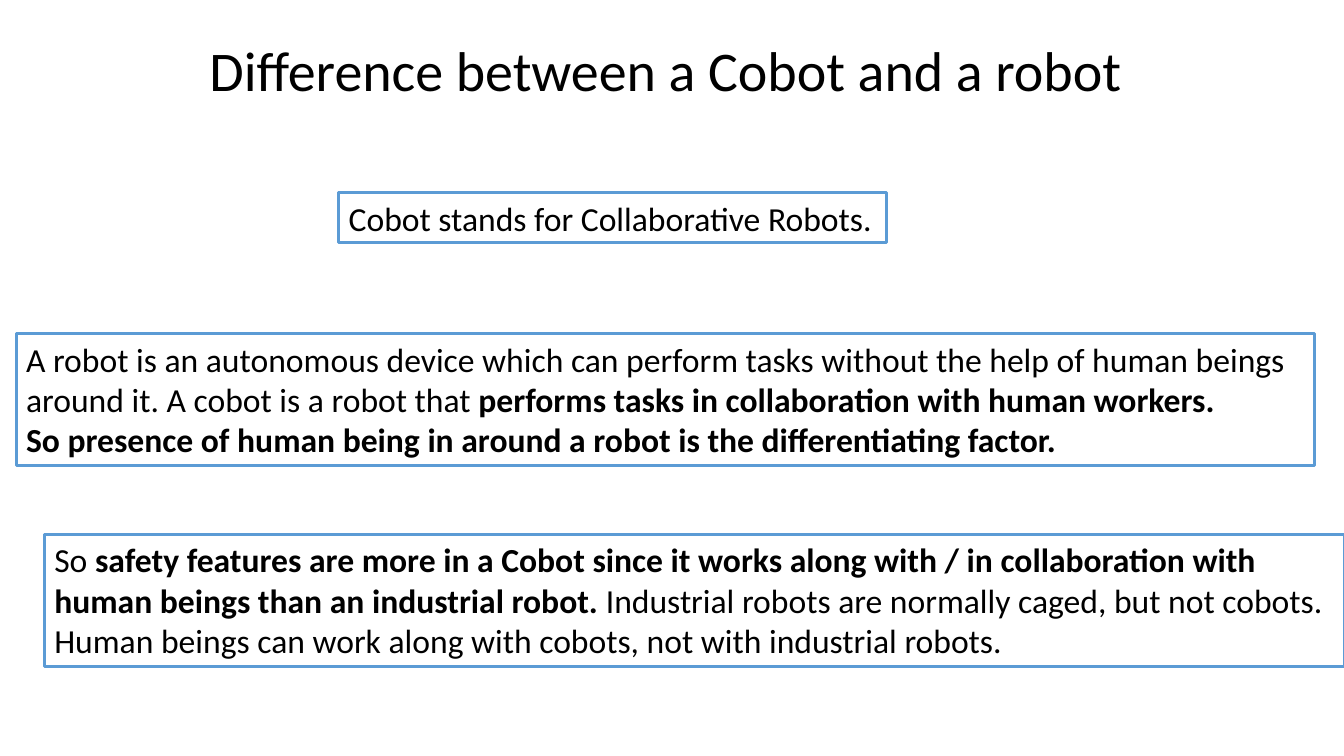
from pptx import Presentation
from pptx.dml.color import RGBColor as RGB
from pptx.enum.shapes import MSO_SHAPE as SHAPE
from pptx.enum.text import MSO_ANCHOR as ANCHOR, MSO_AUTO_SIZE as AUTO, PP_ALIGN as ALIGN
from pptx.util import Pt

PX = 9144
THEME = {
    "font": "Calibri",
    "ink": RGB.from_string("000000"),
    "border": RGB.from_string("5B9BD5"),
    "title_size": Pt(40),
    "body_size": Pt(24),
    "border_width": Pt(2),
}


def add_text(p, text, size=THEME["body_size"], bold=False):
    r = p.add_run()
    r.text = text
    r.font.name = THEME["font"]
    r.font.size = size
    r.font.bold = bold
    r.font.color.rgb = THEME["ink"]


prs = Presentation()
prs.slide_width, prs.slide_height = 1333 * PX, 750 * PX
s = prs.slides.add_slide(prs.slide_layouts[5])

title = s.shapes.title
title.left, title.top, title.width, title.height = (v * PX for v in (160, 38, 1000, 56))
tf = title.text_frame
tf.word_wrap = True
tf.auto_size = AUTO.NONE
tf.vertical_anchor = ANCHOR.TOP
p = tf.paragraphs[0]
p.alignment = ALIGN.CENTER
p.line_spacing = 0.9
add_text(p, "Difference between a Cobot and a robot", size=THEME["title_size"])

boxes = [
    ((16, 331, 1288, 131), [
        [("A robot is an autonomous device which can perform tasks without the help of human beings", False)],
        [("around it. A cobot is a robot that ", False),
         ("performs tasks in collaboration with human workers.", True)],
        [("So presence of human being in around a robot is the differentiating factor.", True)],
    ]),
    ((44, 530, 1289, 131), [
        [("So ", False),
         ("safety features are more in a Cobot since it works along with / in collaboration with", True)],
        [("human beings than an industrial robot. ", True),
         ("Industrial robots are normally caged, but not cobots.", False)],
        [("Human beings can work along with cobots, not with industrial robots.", False)],
    ]),
    ((336, 191, 543, 50), [
        [("Cobot stands for Collaborative Robots.", False)],
    ]),
]

for place, lines in boxes:
    sp = s.shapes.add_shape(SHAPE.RECTANGLE, *(v * PX for v in place))
    sp.shadow.inherit = False
    sp.fill.background()
    sp.line.color.rgb = THEME["border"]
    sp.line.width = THEME["border_width"]
    tf = sp.text_frame
    tf.word_wrap = True
    tf.vertical_anchor = ANCHOR.TOP
    for i, runs in enumerate(lines):
        p = tf.add_paragraph() if i else tf.paragraphs[0]
        p.alignment = ALIGN.LEFT
        for text, bold in runs:
            add_text(p, text, bold=bold)

prs.save("out.pptx")
